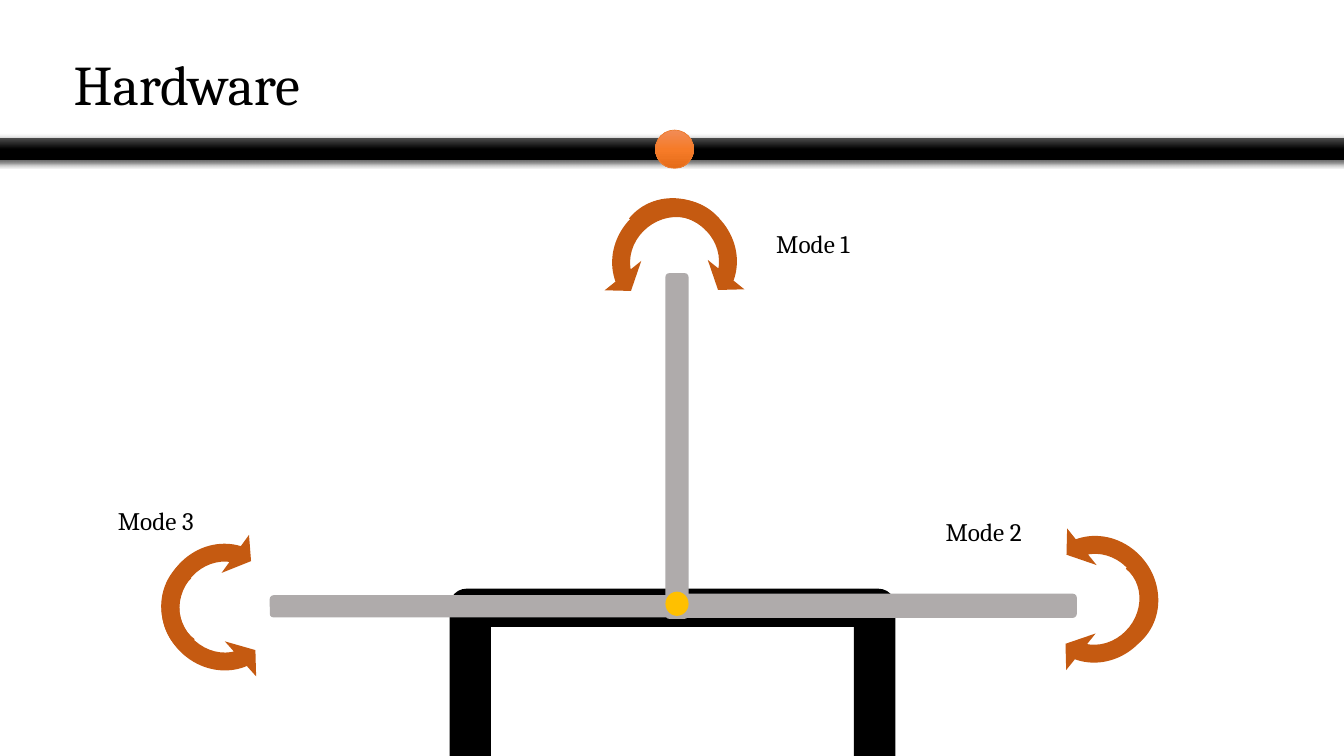
from lxml import etree
from pptx import Presentation
from pptx.dml.color import RGBColor
from pptx.enum import shapes, text
from pptx.oxml import ns, parse_xml
from pptx.util import Inches, Pt

BLACK = RGBColor(0x00, 0x00, 0x00)
GREY = RGBColor(0xAF, 0xAB, 0xAB)
RUST = RGBColor(0xC5, 0x5A, 0x11)
ORANGE = RGBColor(0xED, 0x7D, 0x31)
GOLD = RGBColor(0xFF, 0xC0, 0x00)
BAR_GRADIENT = (RGBColor(0x4B, 0x4B, 0x4B), BLACK, BLACK)
DOT_GRADIENT = (RGBColor(0xF1, 0x8C, 0x57), RGBColor(0xF6, 0x7B, 0x28),
                RGBColor(0xE5, 0x6C, 0x19))

ROUNDED = shapes.MSO_SHAPE.ROUNDED_RECTANGLE
OVAL = shapes.MSO_SHAPE.OVAL
ARC = shapes.MSO_SHAPE.CIRCULAR_ARROW
FONT = "Cambria"
ARROW_TILT = 38.8


def add_figure(page, kind, place, color, rotation=0):
    figure = page.shapes.add_shape(kind, *map(Inches, place))
    figure.shadow.inherit = False
    figure.fill.solid()
    figure.fill.fore_color.rgb = color
    figure.line.fill.background()
    figure.rotation = rotation
    return figure


def set_gradient(figure, colors):
    """Fill from top to bottom with three evenly spaced colours."""
    stops = "".join(f'<a:gs pos="{place * 50000}"><a:srgbClr val="{color}"/></a:gs>'
                    for place, color in enumerate(colors))
    gradient = parse_xml(f'<a:gradFill {ns.nsdecls("a")} rotWithShape="1">'
                         f'<a:gsLst>{stops}</a:gsLst><a:lin ang="5400000"/></a:gradFill>')
    properties = figure._element.spPr
    properties.replace(properties.find(ns.qn("a:solidFill")), gradient)


def add_drop_shadow(figure):
    effects = figure._element.spPr.find(ns.qn("a:effectLst"))
    shadow = etree.SubElement(effects, ns.qn("a:outerShdw"), blurRad=str(Pt(4.5)),
                              dist=str(Pt(1.5)), dir="5400000", algn="ctr", rotWithShape="0")
    color = etree.SubElement(shadow, ns.qn("a:srgbClr"), val=str(BLACK))
    etree.SubElement(color, ns.qn("a:alpha"), val="63000")


def write(box, words, size):
    frame = box.text_frame
    frame.word_wrap = True
    frame.auto_size = text.MSO_AUTO_SIZE.NONE
    frame.vertical_anchor = text.MSO_ANCHOR.TOP
    para = frame.paragraphs[0]
    para.text = words
    para.alignment = text.PP_ALIGN.LEFT
    para.font.name = FONT
    para.font.size = Pt(size)
    para.font.color.rgb = BLACK


def add_title(page, words):
    title = page.shapes.title
    title.left, title.top = Inches(0.63), Inches(0.44)
    title.width, title.height = Inches(3.63), Inches(0.77)
    write(title, words, 40)


def add_label(page, words, left, top):
    box = page.shapes.add_textbox(Inches(left), Inches(top), Inches(2.15), Inches(0.4))
    write(box, words, 18)


def add_swing_arrow(page, first, second, turn):
    """Draw two mirrored arcs that make one double-headed arrow."""
    for (left, top), mirrored in ((first, False), (second, True)):
        tilt = -ARROW_TILT if mirrored else ARROW_TILT
        arc = add_figure(page, ARC, (left, top, 1.51, 1.42), RUST, (tilt + turn) % 360)
        for index, value in enumerate((0.125, 11.42, 204.58, 108, 0.164)):
            arc.adjustments[index] = value
        if mirrored:
            arc._element.spPr.find(ns.qn("a:xfrm")).set("flipH", "1")


def main():
    deck = Presentation()
    deck.slide_width, deck.slide_height = Inches(13.33), Inches(7.5)
    page = deck.slides.add_slide(deck.slide_layouts[5])

    # Heading and divider
    add_title(page, "Hardware")
    divider = add_figure(page, ROUNDED, (-0.74, 1.37, 16.11, 0.22), BLACK)
    set_gradient(divider, BAR_GRADIENT)
    add_drop_shadow(divider)
    dot = add_figure(page, OVAL, (6.5, 1.29, 0.38, 0.38), ORANGE)
    set_gradient(dot, DOT_GRADIENT)
    dot.line.color.rgb = ORANGE
    dot.line.width = Pt(0.5)

    # Stand
    table_top = add_figure(page, ROUNDED, (4.46, 5.84, 4.42, 0.38), BLACK)
    table_top.adjustments[0] = 0.44
    for left in (8.47, 4.46):
        add_figure(page, ROUNDED, (left, 5.93, 0.41, 1.66), BLACK)

    # Arm in its three positions
    for place, rotation in (((6.6, 2.71, 0.23, 3.43), 0),
                            ((8.58, 4.03, 0.24, 3.96), 90),
                            ((4.58, 4, 0.22, 4.03), 90)):
        add_figure(page, ROUNDED, place, GREY, rotation)

    # Modes: label position, the two arcs, turn of the arrow
    for words, label, first, second, turn in (
            ("Mode 1", (7.6, 2.22), (5.96, 1.84), (5.91, 1.85), 0),
            ("Mode 3", (1.07, 4.96), (1.43, 5.28), (1.43, 5.35), -93),
            ("Mode 2", (9.28, 5.07), (10.14, 5.27), (10.15, 5.2), 90)):
        add_label(page, words, *label)
        add_swing_arrow(page, first, second, turn)

    # Pivot
    add_figure(page, OVAL, (6.6, 5.87, 0.23, 0.24), GOLD)

    deck.save("out.pptx")


if __name__ == "__main__":
    main()
